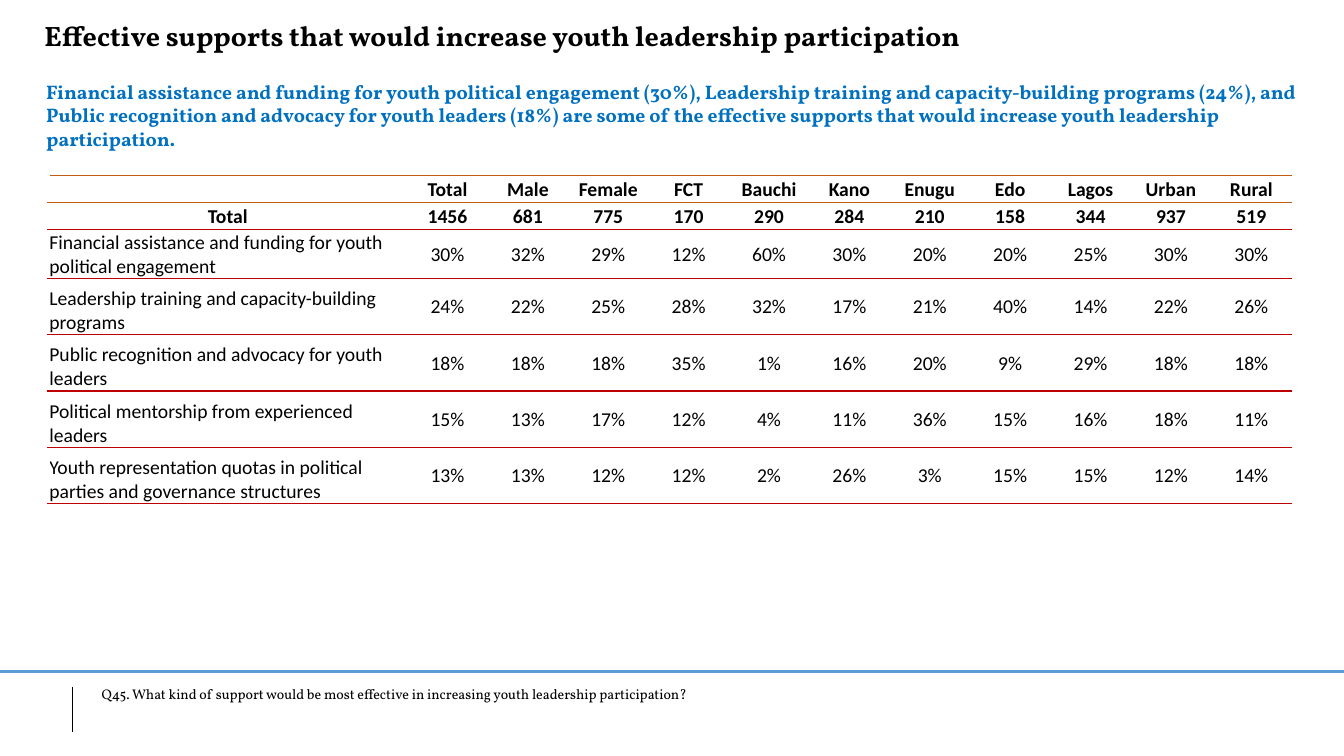
from lxml.etree import SubElement
from pptx import Presentation
from pptx.dml.color import RGBColor
from pptx.enum.shapes import MSO_CONNECTOR
from pptx.enum.text import MSO_ANCHOR, MSO_AUTO_SIZE, PP_ALIGN
from pptx.oxml.ns import qn
from pptx.util import Inches, Pt

COLORS = {
    "text": "000000",
    "finding": "0070C0",
    "footer_rule": "5B9BD5",
    "header_rule": "C55A11",
    "row_rule": "C00000",
    "table_edge": "FFFFFF",
}
HEADING_FONT = "Vollkorn"
TABLE_FONT = "Calibri"
PLAIN_TABLE_STYLE = "{2D5ABB26-0587-4C30-8999-92F81FD0307C}"

TITLE = "Effective supports that would increase youth leadership participation"
FINDING = (
    "Financial assistance and funding for youth political engagement (30%), "
    "Leadership training and capacity-building programs (24%), and Public "
    "recognition and advocacy for youth leaders (18%) are some of the effective "
    "supports that would increase youth leadership participation."
)
QUESTION = (
    "Q45. What kind of support would be most effective in increasing youth "
    "leadership participation?"
)
GROUPS = ["Total", "Male", "Female", "FCT", "Bauchi", "Kano", "Enugu", "Edo",
          "Lagos", "Urban", "Rural"]
RESPONDENTS = [1456, 681, 775, 170, 290, 284, 210, 158, 344, 937, 519]
SUPPORT_SHARES = {
    "Financial assistance and funding for youth political engagement":
        [30, 32, 29, 12, 60, 30, 20, 20, 25, 30, 30],
    "Leadership training and capacity-building programs":
        [24, 22, 25, 28, 32, 17, 21, 40, 14, 22, 26],
    "Public recognition and advocacy for youth leaders":
        [18, 18, 18, 35, 1, 16, 20, 9, 29, 18, 18],
    "Political mentorship from experienced leaders":
        [15, 13, 17, 12, 4, 11, 36, 15, 16, 18, 11],
    "Youth representation quotas in political parties and governance structures":
        [13, 13, 12, 12, 2, 26, 3, 15, 15, 12, 14],
}
LABEL_WIDTH = 3.56
ROW_HEIGHTS = [0.27, 0.27, 0.48] + [0.56] * 4


def format_font(font, name, size, color, bold=False):
    for attribute, value in {"name": name, "size": Pt(size), "bold": bold}.items():
        setattr(font, attribute, value)
    font.color.rgb = RGBColor.from_string(COLORS[color])


def fill_text(shape, text, size, color, bold=False):
    frame = shape.text_frame
    frame.text = text
    frame_format = {
        "word_wrap": True,
        "auto_size": MSO_AUTO_SIZE.SHAPE_TO_FIT_TEXT,
        "vertical_anchor": MSO_ANCHOR.TOP,
    }
    for attribute, value in frame_format.items():
        setattr(frame, attribute, value)
    paragraph = frame.paragraphs[0]
    paragraph.alignment = PP_ALIGN.LEFT
    format_font(paragraph.runs[0].font, HEADING_FONT, size, color, bold)


def add_title(slide, left, top, width, height):
    title = slide.shapes.title
    box = {"left": left, "top": top, "width": width, "height": height}
    for attribute, value in box.items():
        setattr(title, attribute, Inches(value))
    fill_text(title, TITLE, 20, "text", bold=True)


def add_text(slide, box, text, size, color, bold=False):
    textbox = slide.shapes.add_textbox(*map(Inches, box))
    fill_text(textbox, text, size, color, bold)


def add_rule(slide, start, end, color, weight):
    rule = slide.shapes.add_connector(
        MSO_CONNECTOR.STRAIGHT, *map(Inches, (*start, *end)))
    rule.line.color.rgb = RGBColor.from_string(COLORS[color])
    rule.line.width = Pt(weight)
    SubElement(rule._element.spPr, qn("a:effectLst"))


def add_footer(slide, left, top, width):
    add_rule(slide, (left, top), (left + width, top), "footer_rule", 2.25)
    mark = left + 0.72
    add_rule(slide, (mark, top + 0.16), (mark, top + 0.6), "text", 0.5)
    add_text(slide, (left + 0.91, top + 0.09, 11.64, 0.27), QUESTION, 10, "text")


def add_border(cell, side, color, weight):
    border = SubElement(cell._tc.get_or_add_tcPr(), qn(f"a:ln{side}"),
                        w=str(Pt(weight)))
    fill = SubElement(border, qn("a:solidFill"))
    SubElement(fill, qn("a:srgbClr"), val=COLORS[color])


def format_cell(cell, text, row, column):
    is_heading = row < 2
    is_label = column == 0 and not is_heading
    cell_format = {
        "margin_left": Inches(0.01),
        "margin_top": Inches(0.01),
        "margin_right": Inches(0.01),
        "margin_bottom": 0,
        "vertical_anchor": MSO_ANCHOR.BOTTOM if is_label else MSO_ANCHOR.MIDDLE,
    }
    for attribute, value in cell_format.items():
        setattr(cell, attribute, value)

    paragraph = cell.text_frame.paragraphs[0]
    paragraph.alignment = PP_ALIGN.LEFT if is_label else PP_ALIGN.CENTER
    if text:
        run = paragraph.add_run()
        run.text = text
        format_font(run.font, TABLE_FONT, 14, "text", bold=is_heading)
    else:
        SubElement(paragraph._p, qn("a:endParaRPr"), sz="1400")

    # Borders come before the fill in the cell properties
    if column == 0:
        add_border(cell, "L", "table_edge", 3)
    add_border(cell, "T", "header_rule" if is_heading else "row_rule", 1)
    add_border(cell, "B", "header_rule" if row == 0 else "row_rule", 1)
    cell.fill.background()


def add_support_table(slide, left, top, width):
    rows = [["", *GROUPS], ["Total", *map(str, RESPONDENTS)]]
    rows += [[support, *(f"{share}%" for share in shares)]
             for support, shares in SUPPORT_SHARES.items()]
    frame = slide.shapes.add_table(
        len(rows), len(rows[0]),
        *map(Inches, (left, top, width, sum(ROW_HEIGHTS))))
    table = frame.table
    table.first_row = table.horz_banding = False
    table._tbl.tblPr.find(qn("a:tableStyleId")).text = PLAIN_TABLE_STYLE

    group_width = (width - LABEL_WIDTH) / len(GROUPS)
    for index, column in enumerate(table.columns):
        column.width = Inches(group_width if index else LABEL_WIDTH)
    for row, (texts, height) in enumerate(zip(rows, ROW_HEIGHTS)):
        table.rows[row].height = Inches(height)
        for column, text in enumerate(texts):
            format_cell(table.cell(row, column), text, row, column)


def main():
    deck = Presentation()
    deck.slide_width, deck.slide_height = Inches(13.33), Inches(7.5)
    slide = deck.slides.add_slide(deck.slide_layouts[5])

    # Footer with the survey question
    add_footer(slide, 0, 6.66, 13.33)
    # Title and main finding
    add_title(slide, 0.34, 0.13, 9.43, 0.44)
    add_text(slide, (0.36, 0.74, 12.81, 0.57), FINDING, 14, "finding", bold=True)
    # Shares by group
    add_support_table(slide, 0.48, 1.74, 12.33)

    deck.save("out.pptx")


if __name__ == "__main__":
    main()
